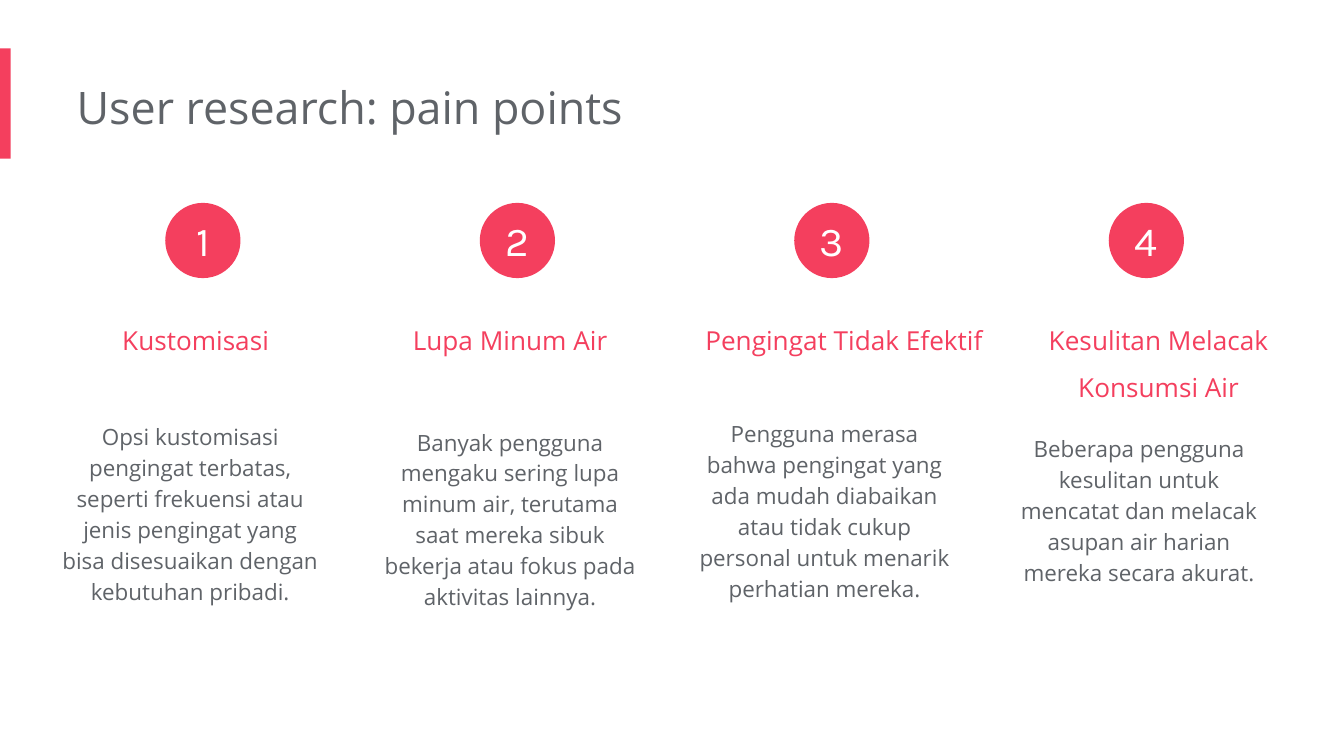
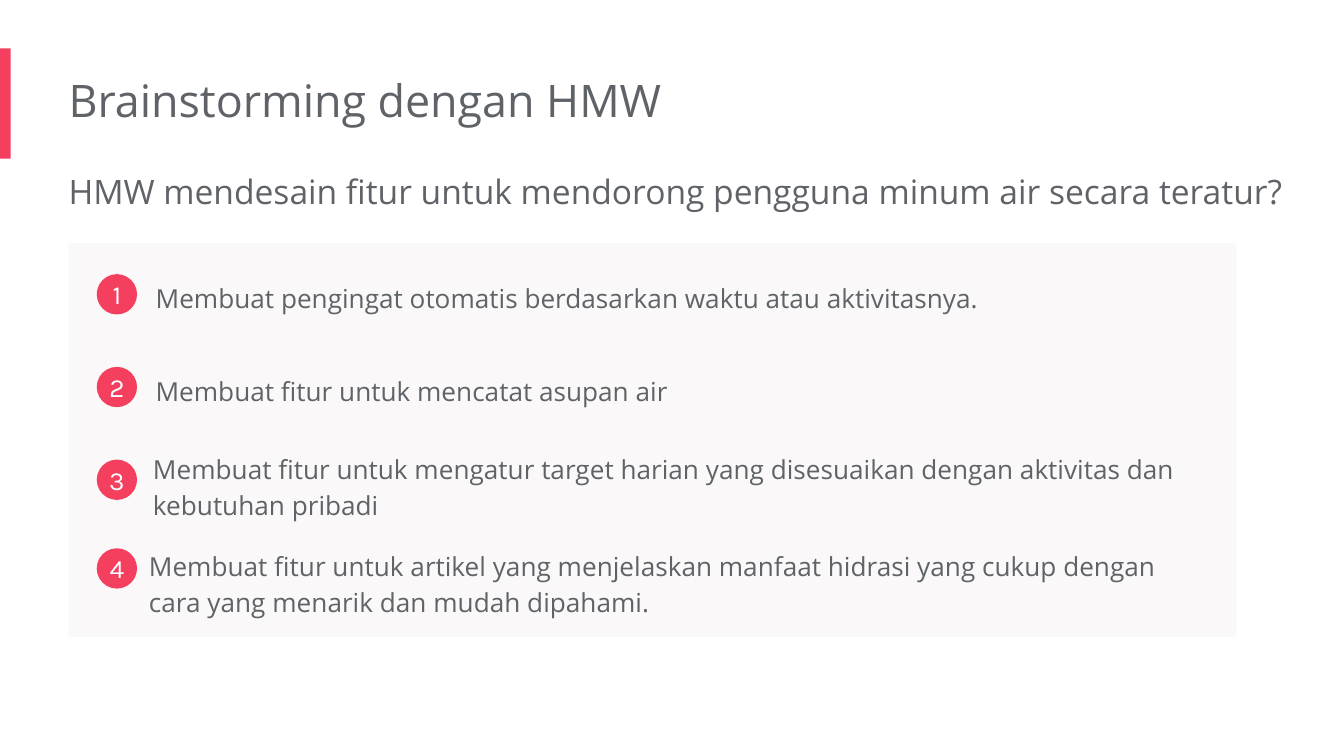
import pptx
import pptx.dml.color
import pptx.enum.shapes
import pptx.enum.text
import pptx.oxml.ns
import pptx.util
import lxml.etree

SLIDE_WIDTH = 10
SLIDE_HEIGHT = SLIDE_WIDTH * 9 / 16
ROSE, GREY, WHITE, PANEL = "F43F5E", "5F6368", "FFFFFF", "FAF8F8"
TEXT_FONT, NUMBER_FONT = "Open Sans", "Karla"
COLUMN_LEFT, COLUMN_PITCH = 0.48, 2.34
ROW_TOP, ROW_PITCH = 2.04, 0.69

SHAPE = pptx.enum.shapes.MSO_SHAPE
ANCHOR = pptx.enum.text.MSO_ANCHOR
ALIGN = pptx.enum.text.PP_ALIGN

PAIN_POINTS = [
    ("Kustomisasi", 2.05, 0.56, -0.04, 3.02, 1.6,
     "Opsi kustomisasi pengingat terbatas, seperti frekuensi atau jenis "
     "pengingat yang bisa disesuaikan dengan kebutuhan pribadi."),
    ("Lupa Minum Air", 2.05, 0.56, 0, 3.06, 1.6,
     "Banyak pengguna mengaku sering lupa minum air, terutama saat mereka "
     "sibuk bekerja atau fokus pada aktivitas lainnya."),
    ("Pengingat Tidak Efektif", 2.34, 0.56, 0, 3, 1.6,
     "Pengguna merasa bahwa pengingat yang ada mudah diabaikan atau tidak "
     "cukup personal untuk menarik perhatian mereka."),
    ("Kesulitan Melacak Konsumsi Air", 2.34, 0.91, 0, 3.11, 1.36,
     "Beberapa pengguna kesulitan untuk mencatat dan melacak asupan air "
     "harian mereka secara akurat."),
]

IDEAS = [
    (1.06, 1.97, 7.91, 0.47, 0,
     "Membuat pengingat otomatis berdasarkan waktu atau aktivitasnya."),
    (1.06, 2.66, 8.04, 0.47, 0,
     "Membuat fitur untuk mencatat asupan air"),
    (1.04, 3.24, 7.96, 0.74, 0,
     "Membuat fitur untuk mengatur target harian yang disesuaikan dengan "
     "aktivitas dan kebutuhan pribadi"),
    (1.01, 3.96, 7.96, 0.74, -0.03,
     "Membuat fitur untuk artikel yang menjelaskan manfaat hidrasi yang cukup "
     "dengan cara yang menarik dan mudah dipahami."),
]


def rgb(color):
    return pptx.dml.color.RGBColor.from_string(color)


def inches(*lengths):
    return [pptx.util.Inches(length) for length in lengths]


def write(sp, text, size, color=GREY, font=TEXT_FONT, align=ALIGN.LEFT,
          spacing=1.0, inset=(0, 0.1, 0.1, 0.1), anchor=ANCHOR.TOP):
    tf = sp.text_frame
    tf.word_wrap = True
    tf.auto_size = pptx.enum.text.MSO_AUTO_SIZE.NONE
    tf.vertical_anchor = anchor
    tf.margin_left, tf.margin_top, tf.margin_right, tf.margin_bottom = inches(*inset)
    p = tf.paragraphs[0]
    p.alignment, p.line_spacing = align, spacing
    p.space_before = pptx.util.Pt(0)
    r = p.add_run()
    r.text = text
    r.font.size, r.font.name = pptx.util.Pt(size), font
    r.font.color.rgb = rgb(color)
    return p


def add_text(s, box, text, size, **style):
    write(s.shapes.add_textbox(*inches(*box)), text, size, **style)


def fill_placeholder(sp, box, text, size, **style):
    sp.left, sp.top, sp.width, sp.height = inches(*box)
    return write(sp, text, size, **style)


def add_block(s, kind, box, color):
    sp = s.shapes.add_shape(kind, *inches(*box))
    sp.shadow.inherit = False
    sp.fill.solid()
    sp.fill.fore_color.rgb = rgb(color)
    sp.line.fill.background()
    return sp


def add_badge(s, left, top, diameter, number, size):
    sp = add_block(s, SHAPE.OVAL, (left, top, diameter, diameter), ROSE)
    write(sp, str(number), size, color=WHITE, font=NUMBER_FONT,
          align=ALIGN.CENTER, inset=(0, 0, 0, 0), anchor=ANCHOR.MIDDLE)


def add_master_band(prs, s):
    band = add_block(s, SHAPE.RECTANGLE, (0, 0.36, 0.08, 0.82), ROSE)
    prs.slide_master.shapes.element.append(band.element)


def remove_bullet(p):
    properties = p._p.get_or_add_pPr()
    properties.set("marL", "0")
    properties.set("indent", "0")
    lxml.etree.SubElement(properties, pptx.oxml.ns.qn("a:buNone"))


def build_pain_points(s):
    fill_placeholder(s.shapes.title, (0.57, 0.49, 6.73, 0.61),
                     "User research: pain points", 24)
    for i, point in enumerate(PAIN_POINTS):
        heading, width, heading_height, shift, top, height, detail = point
        left = COLUMN_LEFT + i * COLUMN_PITCH
        add_text(s, (left, 2.2, width, heading_height), heading, 14,
                 color=ROSE, align=ALIGN.CENTER, spacing=1.5)
        add_text(s, (left + shift, top, 2.05, height), detail, 12,
                 align=ALIGN.CENTER, spacing=1.15)
        add_badge(s, left + 0.75, 1.51, 0.56, i + 1, 22)


def build_brainstorming(s):
    fill_placeholder(s.shapes.title, (0.51, 0.44, 6.68, 0.61),
                     "Brainstorming dengan HMW", 24)
    question = fill_placeholder(
        s.placeholders[1], (0.51, 1.13, 9.2, 0.55),
        "HMW mendesain fitur untuk mendorong pengguna minum air secara teratur?",
        18, spacing=1.15)
    remove_bullet(question)
    add_block(s, SHAPE.RECTANGLE, (0.51, 1.81, 8.69, 2.93), PANEL)
    for i, (left, top, width, height, shift, idea) in enumerate(IDEAS):
        add_text(s, (left, top, width, height), idea, 14,
                 spacing=1.15, inset=(0.1, 0.1, 0.1, 0.1))
        add_badge(s, 0.72, ROW_TOP + i * ROW_PITCH + shift, 0.3, i + 1, 14)


def main():
    prs = pptx.Presentation()
    prs.slide_width, prs.slide_height = inches(SLIDE_WIDTH, SLIDE_HEIGHT)
    title_only, title_and_body = prs.slide_layouts[5], prs.slide_layouts[1]
    s = prs.slides.add_slide(title_only)
    add_master_band(prs, s)
    build_pain_points(s)
    build_brainstorming(prs.slides.add_slide(title_and_body))
    prs.save("out.pptx")


if __name__ == "__main__":
    main()
